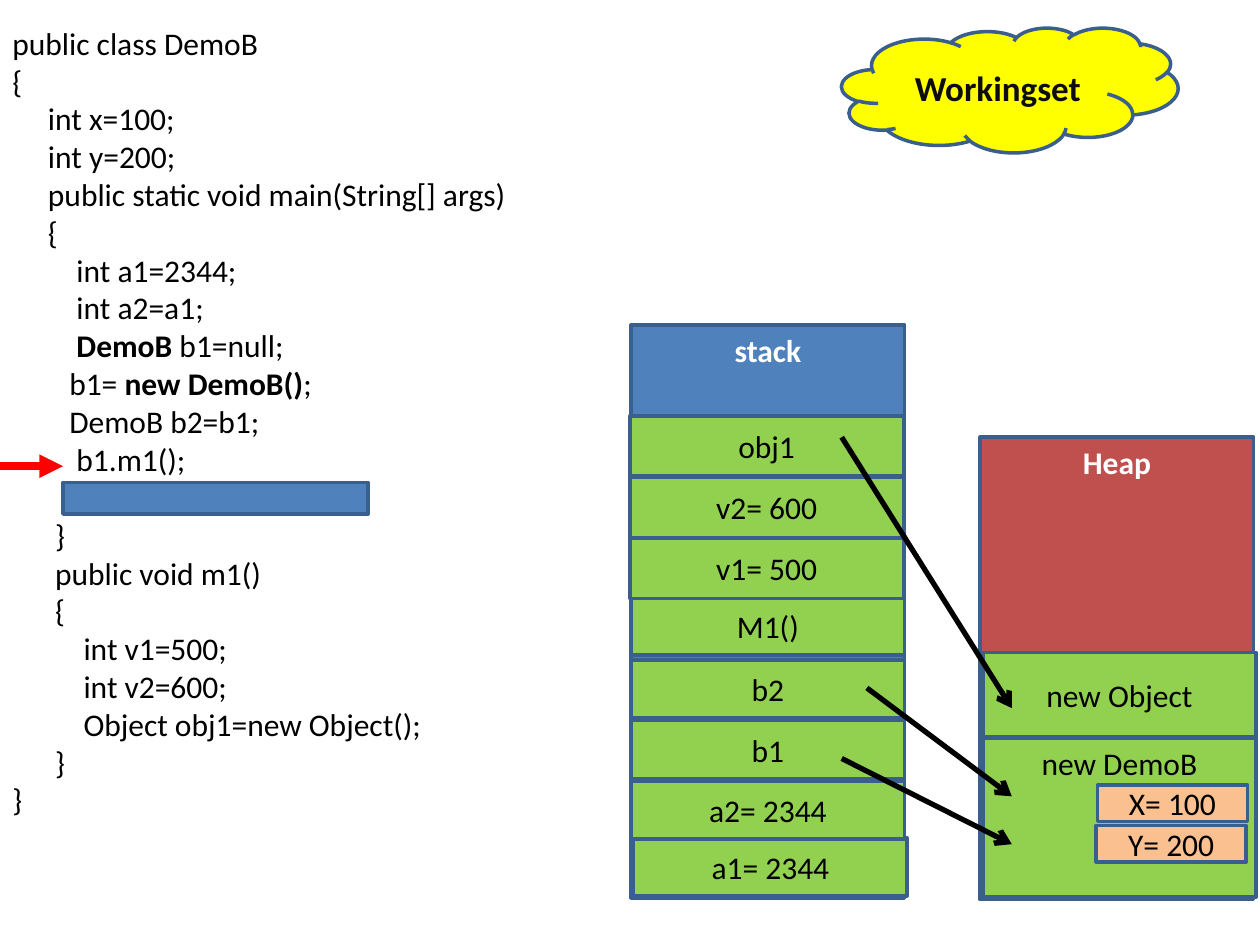
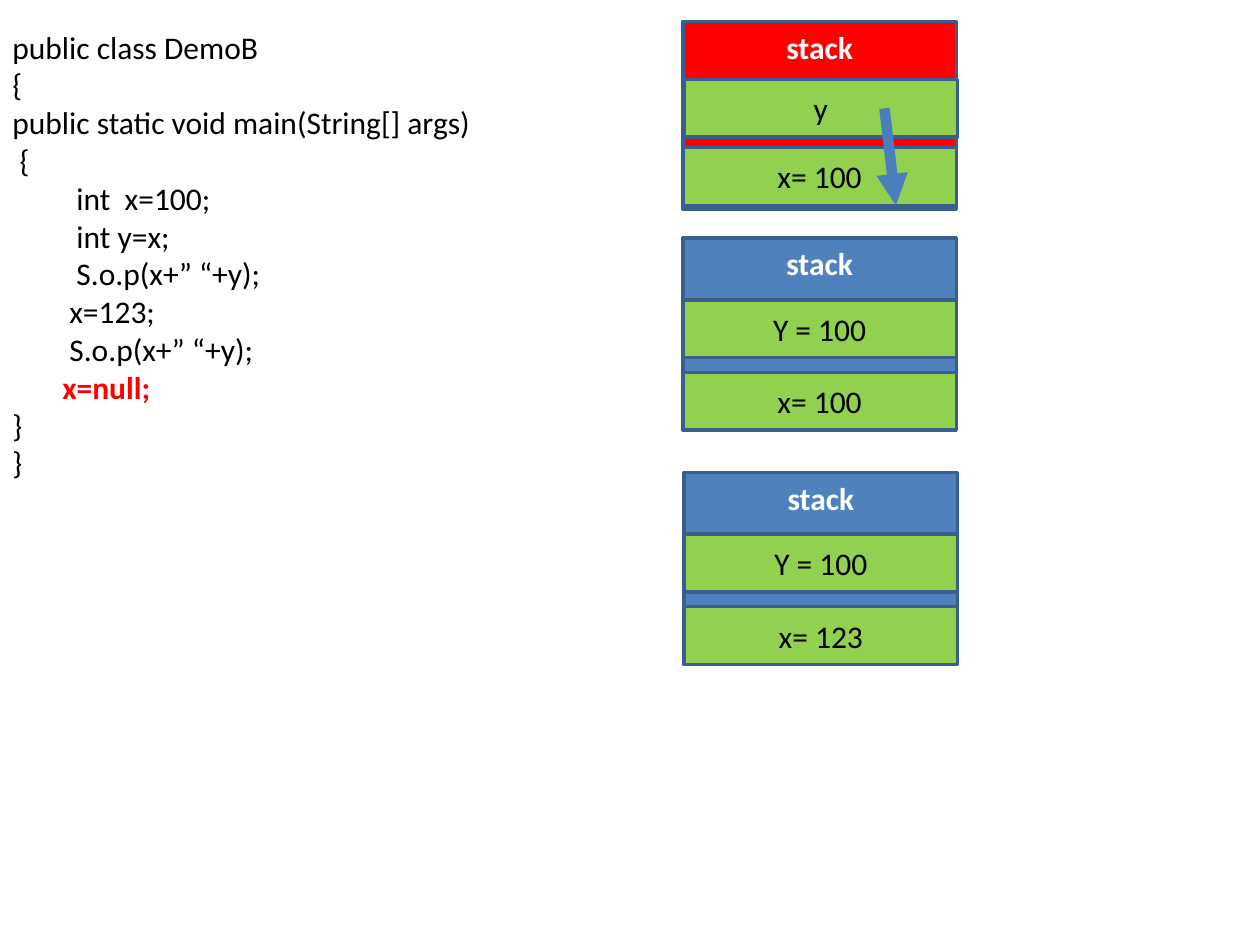
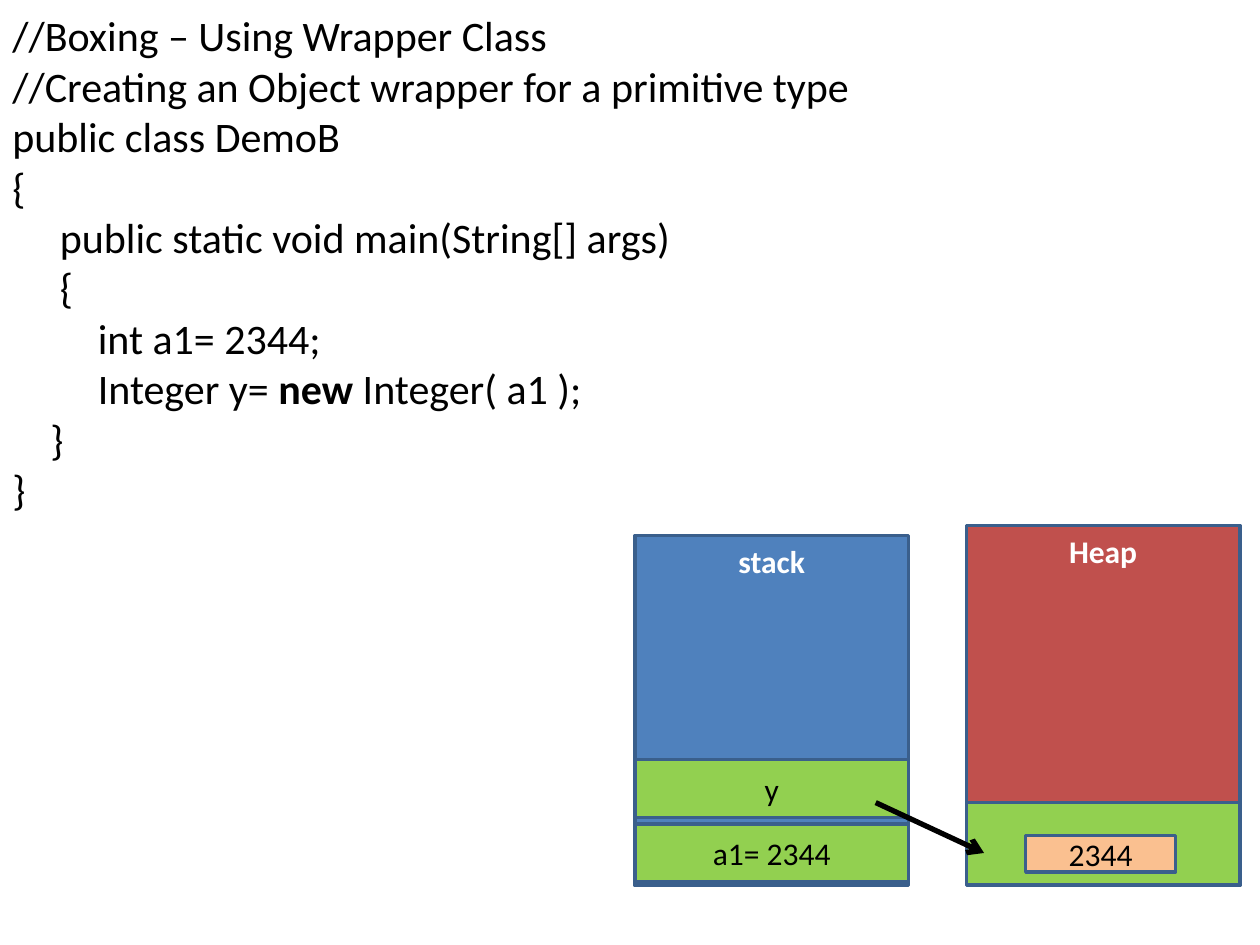
import lxml.etree
import pptx
import pptx.dml.color
import pptx.enum.shapes
import pptx.enum.text
import pptx.oxml.ns
import pptx.util

RGB = pptx.dml.color.RGBColor
KIND = pptx.enum.shapes.MSO_SHAPE
ANCHOR = pptx.enum.text.MSO_ANCHOR
Pt = pptx.util.Pt
qn = pptx.oxml.ns.qn

BLACK = RGB(0x00, 0x00, 0x00)
INK = RGB(0x0D, 0x0D, 0x0D)
WHITE = RGB(0xFF, 0xFF, 0xFF)
RED = RGB(0xFF, 0x00, 0x00)
BLUE = RGB(0x4F, 0x81, 0xBD)
STEEL = RGB(0x4B, 0x7E, 0xBC)
EDGE = RGB(0x3A, 0x5F, 0x8C)
BRICK = RGB(0xC0, 0x50, 0x4D)
GREEN = RGB(0x92, 0xD0, 0x50)
PEACH = RGB(0xFA, 0xC0, 0x90)
YELLOW = RGB(0xFF, 0xFF, 0x00)

COLS, ROWS = 100, 75
WIDE = 21.7    # columns of a stack or heap
SLOT = 4.6     # rows of a variable
SPACE = 0.226  # width of a space, as a share of the text size
LEAD = 1.22    # height of a line, as a share of the text size


class Deck:
    def __init__(self):
        self.prs = pptx.Presentation()
        self.prs.slide_width = pptx.util.Inches(10)
        self.prs.slide_height = pptx.util.Inches(7.5)

    def new(self):
        self.shapes = self.prs.slides.add_slide(self.prs.slide_layouts[6]).shapes

    def grid(self, *nums):
        """Turn alternating columns and rows into lengths."""
        units = (self.prs.slide_width / COLS, self.prs.slide_height / ROWS)
        return [round(num * units[i % 2]) for i, num in enumerate(nums)]

    def run(self, para, text, size=18, color=BLACK, bold=False):
        run = para.add_run()
        run.text = text
        for key, val in {"name": "Calibri", "size": Pt(size), "bold": bold}.items():
            setattr(run.font, key, val)
        run.font.color.rgb = color

    def box(self, at, fill, text="", kind=KIND.RECTANGLE, anchor=ANCHOR.MIDDLE, **font):
        shape = self.shapes.add_shape(kind, *self.grid(*at))
        shape.shadow.inherit = False
        shape.fill.solid()
        shape.fill.fore_color.rgb = fill
        shape.line.color.rgb = EDGE
        shape.line.width = Pt(2)
        frame = shape.text_frame
        frame.word_wrap = True
        frame.vertical_anchor = anchor
        if text:
            para = frame.paragraphs[0]
            para.alignment = pptx.enum.text.PP_ALIGN.CENTER
            self.run(para, text, **font)

    def area(self, col, row, high, text="stack", fill=BLUE):
        """Draw a memory area with its name at the top."""
        self.box((col, row, WIDE, high), fill, text, anchor=ANCHOR.TOP,
                 color=WHITE, bold=True)

    def slots(self, col, row, step, names, high=SLOT):
        """Draw green variables, one every step rows."""
        for i, name in enumerate(names):
            self.box((col, row + i * step, WIDE, high), GREEN, name)

    def field(self, col, row, text):
        self.box((col, row, 11.9, 2.9), PEACH, text)

    def arrow(self, *ends, color=BLACK, width=3, head="arrow"):
        line = self.shapes.add_connector(
            pptx.enum.shapes.MSO_CONNECTOR.STRAIGHT, *self.grid(*ends))
        line.line.color.rgb = color
        line.line.width = Pt(width)
        props = line.element.spPr
        lxml.etree.SubElement(props.find(qn("a:ln")), qn("a:tailEnd"), type=head)
        lxml.etree.SubElement(props, qn("a:effectLst"))

    def code(self, at, lines, size=18):
        """Write lines of (indent in spaces, run, ...); a run is text or (text, format).

        GAP in place of a line leaves that line's height free above the next one.
        """
        frame = self.shapes.add_textbox(*self.grid(*at)).text_frame
        frame.word_wrap = True
        frame.auto_size = pptx.enum.text.MSO_AUTO_SIZE.SHAPE_TO_FIT_TEXT
        para, last = frame.paragraphs[0], None
        for line in lines:
            if line is not GAP:
                para = frame.add_paragraph() if last else para
                if last is GAP and para is not frame.paragraphs[0]:
                    para = frame.add_paragraph() if para.runs else para
                    para.space_before = Pt(LEAD * size)
                dent, *runs = line
                left = Pt(dent * SPACE * size)
                para._p.get_or_add_pPr().set("marL", str(int(left)))
                for item in runs:
                    text, form = (item, {}) if isinstance(item, str) else item
                    self.run(para, text, size=size, **form)
            last = line


GAP = "gap"
BOLD = {"bold": True}
HOT = {"bold": True, "color": RED}

CALL = [
    (0, "public class DemoB"),
    (0, "{"),
    (5, "int x=100;"),
    (5, "int y=200;"),
    (5, "public static void main(String[] args)"),
    (5, "{"),
    (9, "int a1=2344;"),
    (9, "int a2=a1;"),
    (9, ("DemoB", BOLD), " b1=null;"),
    (8, "b1= ", ("new DemoB()", BOLD), ";"),
    (8, "DemoB b2=b1;"),
    (9, "b1.m1();"),
    GAP,
    (6, "}"),
    (6, "public void m1()"),
    (6, "{"),
    (10, "int v1=500;"),
    (10, "int v2=600;"),
    (10, "Object obj1=new Object();"),
    (6, "}"),
    (0, "}"),
]

COPY = [
    (0, "public class DemoB"),
    (0, "{"),
    (0, "public static void main(String[] args)"),
    (1, "{"),
    (9, "int  x=100;"),
    (9, "int y=x;"),
    (9, "S.o.p(x+” “+y);"),
    (8, "x=123;"),
    (8, "S.o.p(x+” “+y);"),
    (7, ("x=null;", HOT)),
    (0, "}"),
    (0, "}"),
]

WRAP = [
    (0, "//Boxing – Using Wrapper Class"),
    (0, "//Creating an Object wrapper for a primitive type"),
    (0, "public class DemoB"),
    (0, "{"),
    (5, "public static void main(String[] args)"),
    (5, "{"),
    (9, "int a1= 2344;"),
    (9, "Integer y= ", ("new ", BOLD), "Integer( a1 );"),
    (4, "}"),
    (0, "}"),
]


def calls(deck):
    deck.new()
    deck.area(50.1, 25.8, 45.5)
    deck.area(77.8, 34.7, 36.7, "Heap", BRICK)
    deck.code((0, 1.4, 43.7, 64.6), CALL)
    deck.slots(50.3, 66.5, SLOT, ["a1= 2344"])
    deck.slots(50.1, 52.4, 4.8, ["b2", "b1", "a2= 2344"])
    deck.slots(50.1, 47.4, SLOT, ["M1()"])
    deck.slots(50, 33, 4.85, ["obj1", "v2= 600", "v1= 500"], 4.8)
    deck.box((78, 58.6, WIDE, 12.6), GREEN, "new DemoB", anchor=ANCHOR.TOP)
    deck.slots(78, 51.8, SLOT, ["new Object"], 6.7)
    deck.field(87.1, 62.3, "X= 100")
    deck.field(87, 65.5, "Y= 200")
    deck.box((66.8, 2.2, 26.7, 9.9), YELLOW, "Workingset", KIND.CLOUD,
             size=20, color=INK, bold=True)
    for col, row, end in [(66.8, 34.7, 56.2), (66.8, 60.2, 67), (68.8, 54.6, 63.2)]:
        deck.arrow(col, row, 80.3, end)
    deck.arrow(0, 37, 5, 37, color=RED, width=4.5, head="triangle")
    deck.box((5, 38.3, 24.2, 2.5), BLUE)


def copies(deck):
    deck.new()
    deck.code((0, 1.7, 39.2, 37.4), COPY)
    deck.area(54.2, 1.7, 14.9, fill=RED)
    deck.slots(54.2, 11.7, SLOT, ["x= 100"])
    deck.slots(54.3, 6.3, SLOT, ["y"])
    deck.arrow(70.2, 8.6, 71.1, 16.3, color=STEEL, width=6, head="triangle")
    for col, row, last in [(54.2, 18.9, "x= 100"), (54.3, 37.5, "x= 123")]:
        deck.area(col, row, 15.2)
        deck.slots(col, row + 4.9, 5.75, ["Y = 100", last])


def wraps(deck):
    deck.new()
    deck.area(50.4, 42.5, 27.8)
    deck.area(76.7, 41.7, 28.6, "Heap", BRICK)
    deck.slots(50.4, 60.3, 5.1, ["y", "a1= 2344"])
    deck.slots(76.7, 63.7, SLOT, [""], 6.5)
    deck.arrow(69.5, 63.7, 78.1, 67.7)
    deck.field(81.4, 66.3, "2344")
    deck.code((0, 0.3, 100, 41.4), WRAP, 24)


def main():
    deck = Deck()
    for draw in (calls, copies, wraps):
        draw(deck)
    deck.prs.save("out.pptx")


if __name__ == "__main__":
    main()
